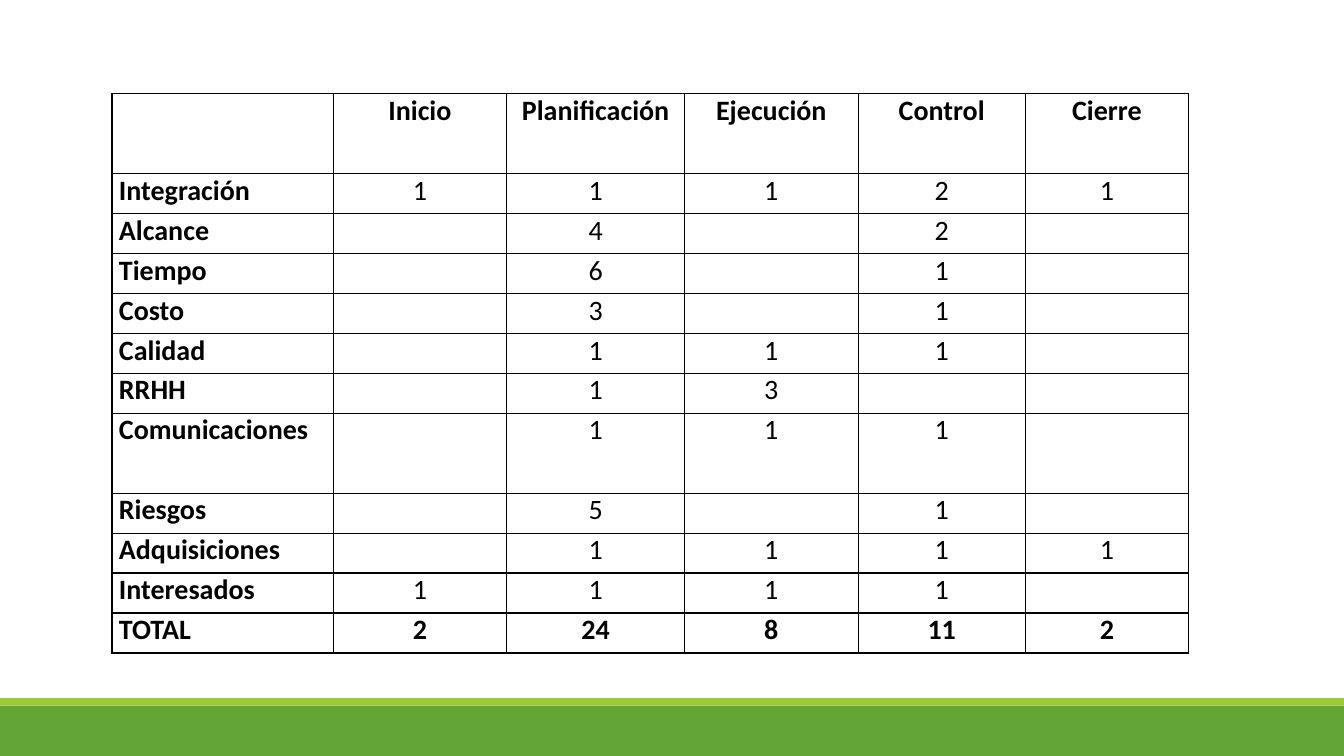
"""Build a slide that counts project processes by knowledge area and phase."""
from dataclasses import dataclass

from lxml import etree
from pptx import Presentation
from pptx import util as u
from pptx.dml.color import RGBColor
from pptx.enum import shapes, text
from pptx.oxml import ns

BLACK = RGBColor(0x00, 0x00, 0x00)
WHITE = RGBColor(0xFF, 0xFF, 0xFF)
GREEN = RGBColor(0x63, 0xA5, 0x37)
LIME = RGBColor(0x99, 0xCB, 0x38)

PAGE_WIDTH, PAGE_HEIGHT = 960, 540
TABLE_LEFT, TABLE_TOP = 80, 66.8
COLUMN_WIDTHS = (158, 124, 127, 124, 119.5, 116.5)
ROW_HEIGHT = 28.55
SIDE_MARGIN = 5


@dataclass(frozen=True)
class Band:
    top: float
    height: float
    color: RGBColor


@dataclass(frozen=True)
class Area:
    name: str
    counts: tuple[int, ...]
    lines: int = 1


BANDS = (Band(504, 36, GREEN), Band(498.7, 5.3, LIME))
PHASES = ("Inicio", "Planificación", "Ejecución", "Control", "Cierre")
AREAS = (
    Area("Integración", (1, 1, 1, 2, 1)),
    Area("Alcance", (0, 4, 0, 2, 0)),
    Area("Tiempo", (0, 6, 0, 1, 0)),
    Area("Costo", (0, 3, 0, 1, 0)),
    Area("Calidad", (0, 1, 1, 1, 0)),
    Area("RRHH", (0, 1, 3, 0, 0)),
    Area("Comunicaciones", (0, 1, 1, 1, 0), lines=2),
    Area("Riesgos", (0, 5, 0, 1, 0)),
    Area("Adquisiciones", (0, 1, 1, 1, 1)),
    Area("Interesados", (1, 1, 1, 1, 0)),
)
TOTAL = Area("TOTAL", tuple(map(sum, zip(*(area.counts for area in AREAS)))))


def draw_band(page, band: Band) -> None:
    box = page.shapes.add_shape(
        shapes.MSO_SHAPE.RECTANGLE,
        0, u.Pt(band.top), u.Pt(PAGE_WIDTH), u.Pt(band.height),
    )
    box.shadow.inherit = False
    box.fill.solid()
    box.fill.fore_color.rgb = band.color
    box.line.fill.background()


def add_borders(cell) -> None:
    properties = cell._tc.get_or_add_tcPr()
    for side in ("lnL", "lnR", "lnT", "lnB"):
        line = etree.SubElement(properties, ns.qn(f"a:{side}"), w=str(u.Pt(1)))
        fill = etree.SubElement(line, ns.qn("a:solidFill"))
        etree.SubElement(fill, ns.qn("a:srgbClr"), val=str(BLACK))


def fill_cell(cell, words: str, bold: bool, align: text.PP_ALIGN) -> None:
    add_borders(cell)
    cell.fill.solid()
    cell.fill.fore_color.rgb = WHITE
    cell.margin_left = cell.margin_right = u.Pt(SIDE_MARGIN)
    cell.margin_top = cell.margin_bottom = 0
    cell.text = words
    para = cell.text_frame.paragraphs[0]
    para.alignment = align
    para.font.name = "Calibri"
    para.font.size = u.Pt(20)
    para.font.bold = bold
    para.font.color.rgb = BLACK


def draw_table(page) -> None:
    areas = (*AREAS, TOTAL)
    rows = [("", *PHASES)]
    rows += [(area.name, *(str(count or "") for count in area.counts)) for area in areas]
    heights = [2 * ROW_HEIGHT] + [area.lines * ROW_HEIGHT for area in areas]
    table = page.shapes.add_table(
        len(rows), len(COLUMN_WIDTHS), u.Pt(TABLE_LEFT), u.Pt(TABLE_TOP),
        u.Pt(sum(COLUMN_WIDTHS)), u.Pt(sum(heights)),
    ).table
    table.first_row = table.horz_banding = False
    for column, width in zip(table.columns, COLUMN_WIDTHS):
        column.width = u.Pt(width)
    for row, height in zip(table.rows, heights):
        row.height = u.Pt(height)
    for i, row in enumerate(rows):
        for j, words in enumerate(row):
            bold = j == 0 or i in (0, len(rows) - 1)
            align = text.PP_ALIGN.CENTER if j else text.PP_ALIGN.JUSTIFY
            fill_cell(table.cell(i, j), words, bold, align)


def main() -> None:
    deck = Presentation()
    deck.slide_width, deck.slide_height = u.Pt(PAGE_WIDTH), u.Pt(PAGE_HEIGHT)
    page = deck.slides.add_slide(deck.slide_layouts[6])
    for band in BANDS:
        draw_band(page, band)
    draw_table(page)
    deck.save("out.pptx")


if __name__ == "__main__":
    main()
